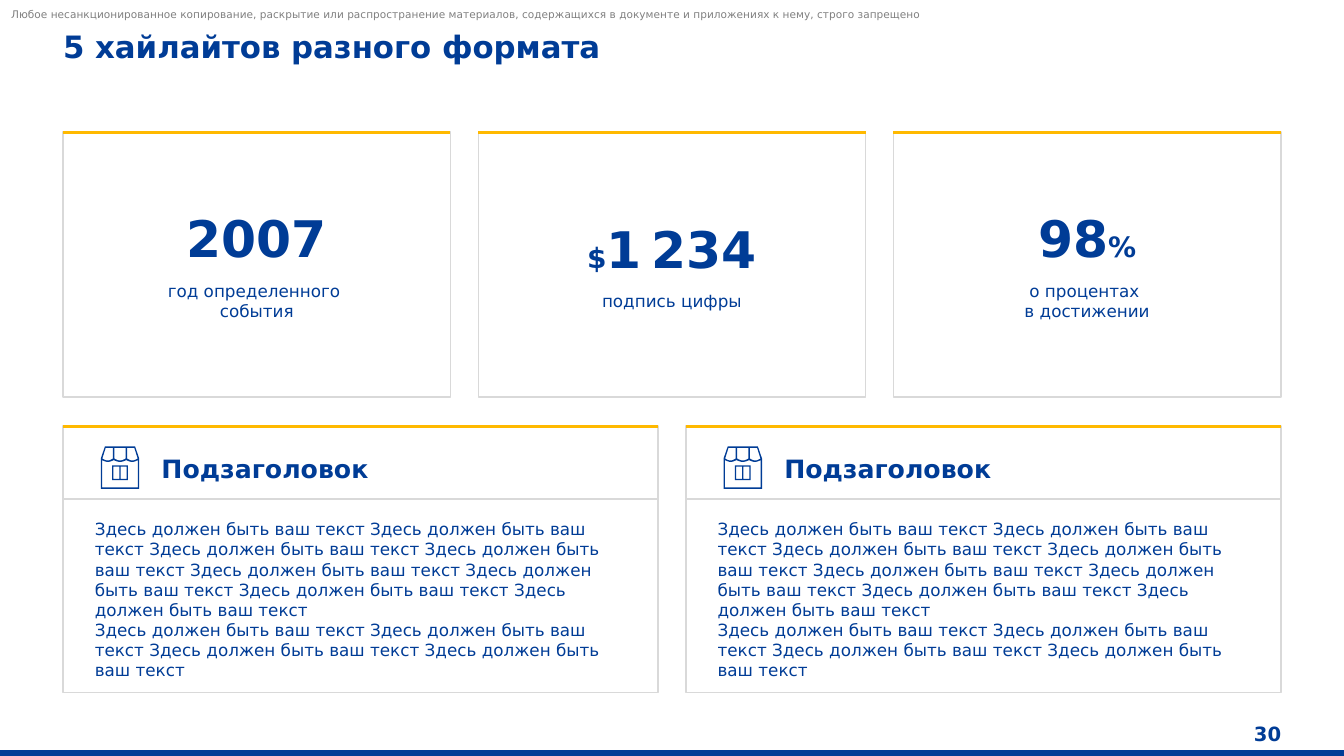
from math import pi, sin

from lxml.etree import SubElement
from pptx import Presentation
from pptx.dml.color import RGBColor
from pptx.enum.shapes import MSO_CONNECTOR, MSO_SHAPE
from pptx.enum.text import MSO_ANCHOR, MSO_AUTO_SIZE, PP_ALIGN
from pptx.oxml.ns import qn
from pptx.util import Cm, Pt

COLORS = {"blue": "003C96", "yellow": "FFB900", "border": "D9D9D9", "gray": "808080"}
FONT = "DejaVu Sans"

# Grid in centimetres
LEFT, CONTENT_WIDTH, GAP = 1.59, 30.69, 0.7
CARD_TOP, CARD_HEIGHT = 3.33, 6.68
PANEL_TOP, PANEL_HEIGHT, DIVIDER_TOP = 10.74, 6.71, 12.57

# Each highlight: text height, number parts (text, size), caption lines
HIGHLIGHTS = [
    (2.9, [("2007", 36)], "год определенного \nсобытия"),
    (2.36, [("$", 20), ("1", 36), (" ", 20), ("234", 36)], "подпись цифры"),
    (2.9, [("98", 36), ("%", 20)], "о процентах \nв достижении"),
]
PHRASE = "Здесь должен быть ваш текст"
PANEL_TEXT = "\n".join(" ".join([PHRASE] * count) for count in (8, 4))
DISCLAIMER = ("Любое несанкционированное копирование, раскрытие или распространение "
              "материалов, содержащихся в документе и приложениях к нему, строго запрещено")


def color(name):
    return RGBColor.from_string(COLORS[name])


def columns(count):
    """Left edges and common width of equal columns."""
    width = (CONTENT_WIDTH - GAP * (count - 1)) / count
    return [LEFT + i * (width + GAP) for i in range(count)], width


def write(paragraph, text, size=12, bold=False, ink="blue",
          align=PP_ALIGN.LEFT, after=0):
    paragraph.alignment = align
    paragraph.space_after = Pt(after)
    for i, line in enumerate(text.split("\n")):
        if i:
            paragraph.add_line_break()
        run = paragraph.add_run()
        run.text = line
        run.font.name = FONT
        run.font.size = Pt(size)
        run.font.bold = bold
        run.font.color.rgb = color(ink)


def set_frame(frame, anchor=MSO_ANCHOR.TOP):
    frame.margin_left = frame.margin_right = 0
    frame.margin_top = frame.margin_bottom = 0
    frame.word_wrap = True
    frame.auto_size = MSO_AUTO_SIZE.SHAPE_TO_FIT_TEXT
    frame.vertical_anchor = anchor
    return frame


def add_frame(slide, left, top, width, height, anchor=MSO_ANCHOR.TOP):
    box = slide.shapes.add_textbox(Cm(left), Cm(top), Cm(width), Cm(height))
    return set_frame(box.text_frame, anchor)


def add_rule(slide, left, top, width, ink, weight):
    rule = slide.shapes.add_connector(
        MSO_CONNECTOR.STRAIGHT, Cm(left), Cm(top), Cm(left + width), Cm(top))
    rule.line.color.rgb = color(ink)
    rule.line.width = Pt(weight)
    SubElement(rule._element.spPr, qn("a:effectLst"))


def add_rectangle(slide, left, top, width, height, line, fill=None):
    rectangle = slide.shapes.add_shape(
        MSO_SHAPE.RECTANGLE, Cm(left), Cm(top), Cm(width), Cm(height))
    rectangle.shadow.inherit = False
    if fill:
        rectangle.fill.solid()
        rectangle.fill.fore_color.rgb = color(fill)
    else:
        rectangle.fill.background()
    rectangle.line.color.rgb = color(line)
    rectangle.line.width = Pt(1)


def add_accented_border(slide, left, top, width, height):
    add_rectangle(slide, left, top, width, height, line="border")
    add_rule(slide, left, top, width, "yellow", 2.25)


# Shop icon, in hundredths of a millimetre
def scallop(start, end, top, depth):
    return [(start + (end - start) * i / 8, top + depth * sin(pi * i / 8))
            for i in range(9)]


def block(left, top, right, bottom):
    return [(left, top), (right, top), (right, bottom), (left, bottom)]


def add_contours(slide, left, top, contours):
    (start, *rest), *holes = contours
    builder = slide.shapes.build_freeform(*start, scale=Cm(0.001))
    builder.add_line_segments(rest)
    for first, *others in holes:
        builder.move_to(*first)
        builder.add_line_segments(others)
    outline = builder.convert_to_shape(Cm(left), Cm(top))
    outline.shadow.inherit = False
    outline.fill.solid()
    outline.fill.fore_color.rgb = color("blue")
    outline.line.fill.background()


def add_shop_icon(slide, left, top):
    walls = [(0, 305), (105, 0), (865, 0), (970, 305), (970, 1070), (0, 1070)]
    awning = [
        [(125, 35), (307, 35)] + scallop(307, 40, 305, 50),
        [(342, 35), (628, 35)] + scallop(628, 342, 305, 50),
        [(663, 35), (845, 35)] + scallop(930, 663, 305, 50),
    ]
    front = [(35, 1035)]
    for start, end in ((35, 325), (325, 645), (645, 935)):
        front += scallop(start, end, 345, 45)
    front.append((935, 1035))
    window = [block(285, 475, 685, 850), block(320, 510, 467, 815),
              block(502, 510, 650, 815)]
    add_contours(slide, left, top, [walls, *awning, front])
    add_contours(slide, left, top, window)


def add_highlight(slide, left, width, text_height, number, caption):
    text_width = 6.81
    frame = add_frame(slide, left + (width - text_width) / 2,
                      CARD_TOP + (CARD_HEIGHT - text_height) / 2,
                      text_width, text_height)
    for part, size in number:
        write(frame.paragraphs[0], part, size=size, bold=True,
              align=PP_ALIGN.CENTER, after=9)
    write(frame.add_paragraph(), caption, align=PP_ALIGN.CENTER)
    add_accented_border(slide, left, CARD_TOP, width, CARD_HEIGHT)


def add_panel(slide, left, width):
    subtitle = add_frame(slide, left + 2.48, 11.41, 11.76, 0.76, MSO_ANCHOR.MIDDLE)
    write(subtitle.paragraphs[0], "Подзаголовок", size=18, bold=True)
    add_accented_border(slide, left, PANEL_TOP, width, PANEL_HEIGHT)
    body = add_frame(slide, left + 0.8, 13.08, 13.61, 3.07)
    write(body.paragraphs[0], PANEL_TEXT, after=4)
    add_rule(slide, left, DIVIDER_TOP, width, "border", 1)
    add_shop_icon(slide, left + 0.95, 11.25)


def main():
    deck = Presentation()
    deck.slide_width, deck.slide_height = Cm(33.87), Cm(19.05)
    slide = deck.slides.add_slide(deck.slide_layouts[5])

    # Footer bar and disclaimer
    add_rectangle(slide, 0, 18.92, 33.87, 0.13, line="blue", fill="blue")
    disclaimer = add_frame(slide, 0.28, 0.18, 29.16, 0.33, MSO_ANCHOR.BOTTOM)
    write(disclaimer.paragraphs[0], DISCLAIMER, size=7.5, ink="gray")

    # Title and page number
    title = slide.shapes.title
    title.left, title.top, title.width, title.height = (
        Cm(1.59), Cm(0.71), Cm(27.79), Cm(0.94))
    write(set_frame(title.text_frame).paragraphs[0],
          "5 хайлайтов разного формата", size=22, bold=True)
    page = add_frame(slide, 30.84, 18.19, 1.45, 0.6, MSO_ANCHOR.MIDDLE)
    write(page.paragraphs[0], "30", size=14, bold=True, align=PP_ALIGN.RIGHT)

    # Three highlights with numbers
    card_lefts, card_width = columns(3)
    for left, highlight in zip(card_lefts, HIGHLIGHTS):
        add_highlight(slide, left, card_width, *highlight)

    # Two text panels
    panel_lefts, panel_width = columns(2)
    for left in panel_lefts:
        add_panel(slide, left, panel_width)

    deck.save("out.pptx")


if __name__ == "__main__":
    main()
